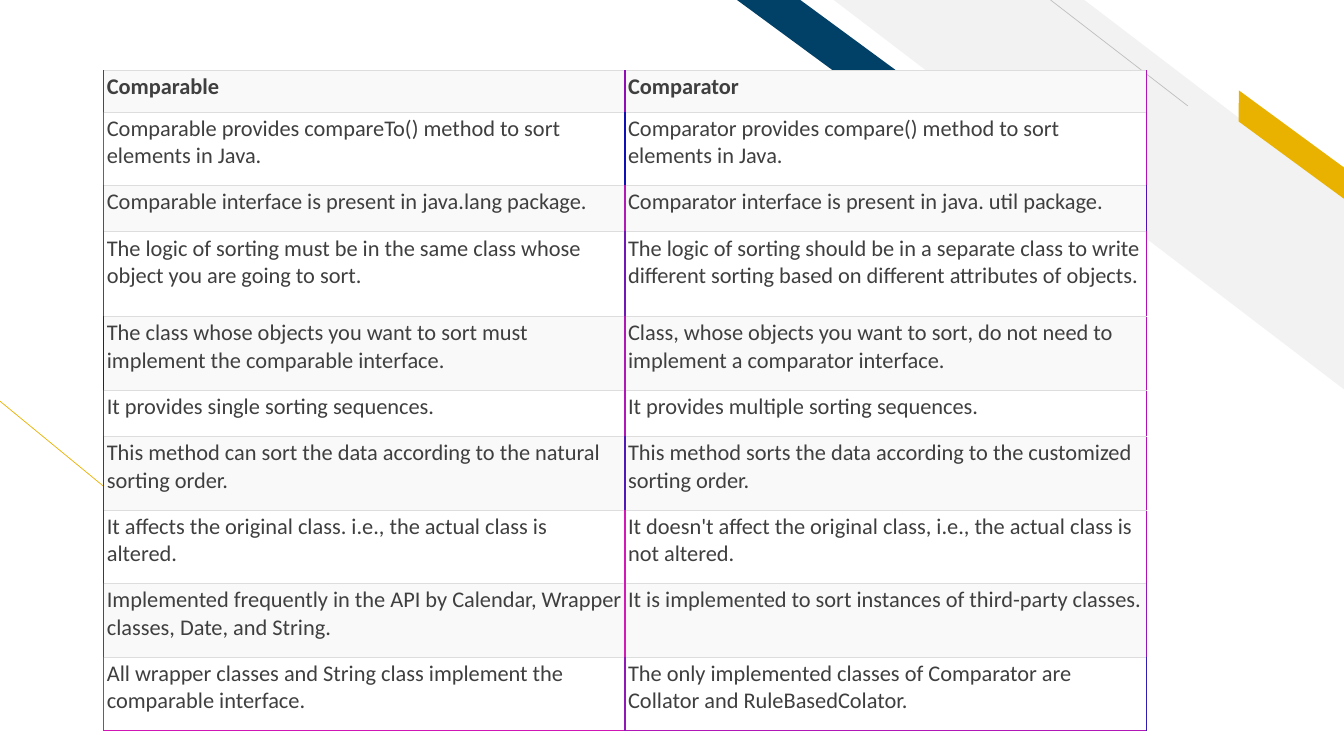
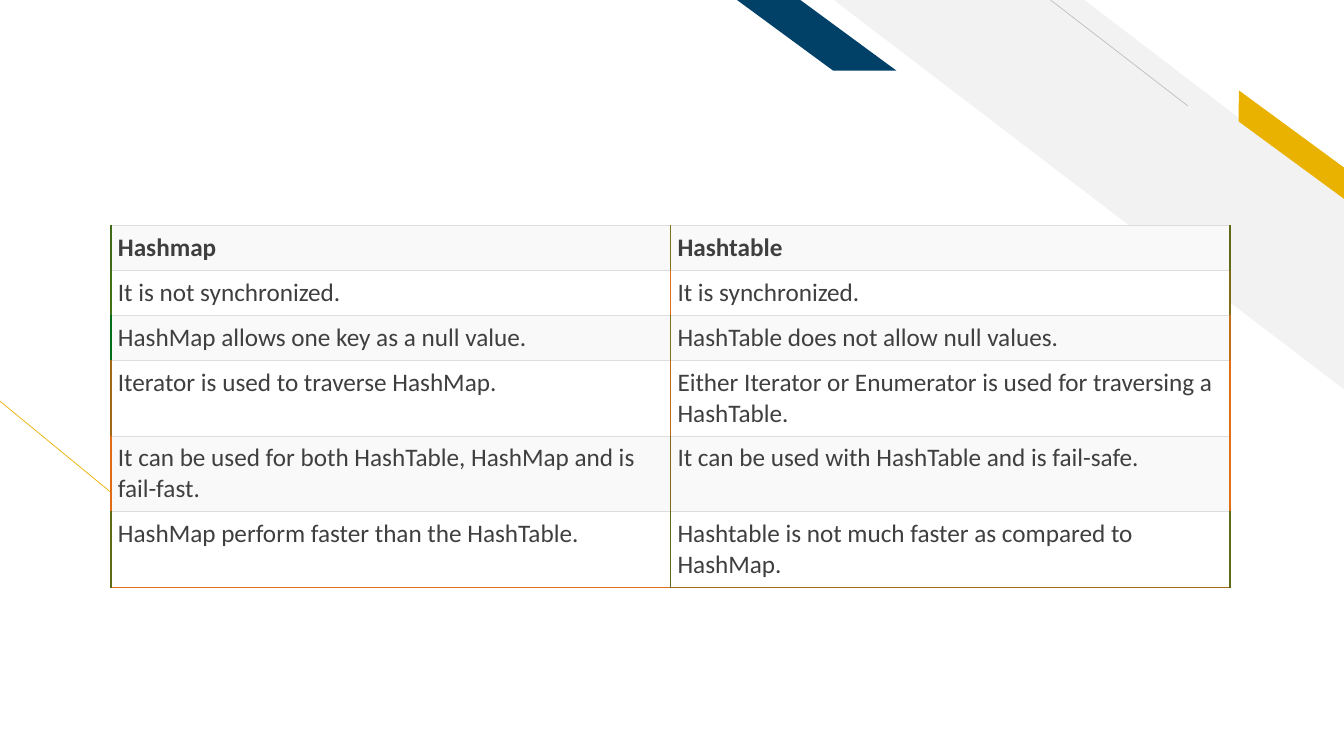
from lxml import etree
from pptx import Presentation
from pptx.dml.color import RGBColor
from pptx.enum import shapes
from pptx.oxml.ns import qn
from pptx.util import Inches, Pt

FONT = "Calibri"
WHITE, STRIPE, NAVY, GOLD = "FFFFFF", "F2F2F2", "014067", "EAB200"
HAIRLINE, INK, BAND, RULE = "BFBFBF", "3F3F3F", "F9F9F9", "DDDDDD"

COMPARABLE_ROWS = [
    ("Comparable", "Comparator"),
    ("Comparable provides compareTo() method to sort elements in Java.",
     "Comparator provides compare() method to sort elements in Java."),
    ("Comparable interface is present in java.lang package.",
     "Comparator interface is present in java. util package."),
    ("The logic of sorting must be in the same class whose object you are going to sort.",
     "The logic of sorting should be in a separate class to write different sorting "
     "based on different attributes of objects."),
    ("The class whose objects you want to sort must implement the comparable interface.",
     "Class, whose objects you want to sort, do not need to implement a comparator interface."),
    ("It provides single sorting sequences.", "It provides multiple sorting sequences."),
    ("This method can sort the data according to the natural sorting order.",
     "This method sorts the data according to the customized sorting order."),
    ("It affects the original class. i.e., the actual class is altered.",
     "It doesn't affect the original class, i.e., the actual class is not altered."),
    ("Implemented frequently in the API by Calendar, Wrapper classes, Date, and String.",
     "It is implemented to sort instances of third-party classes."),
    ("All wrapper classes and String class implement the comparable interface.",
     "The only implemented classes of Comparator are Collator and RuleBasedColator."),
]
COMPARABLE_HEIGHTS = [0.41, 0.73, 0.46, 0.84, 0.73, 0.46, 0.73, 0.73, 0.73, 0.73]
# Vertical border colours of each row: left, middle, right
COMPARABLE_EDGES = [
    ("9011B6", "900DB6", "B014B6"), ("F00EB6", "100FB6", "B00EB6"),
    ("B00FB6", "B019B6", "500FB6"), ("9015B6", "7017B6", "B00FB6"),
    ("1016B6", "B018B6", "B00FB6"), ("701BB6", "B017B6", "B00FB6"),
    ("501BB6", "5018B6", "B00FB6"), ("5018B6", "D019B6", "B00FB6"),
    ("9017B6", "D01BB6", "9017B6"), ("D019B6", "9018B6", "301BB6"),
]

HASH_ROWS = [
    ("Hashmap", "Hashtable"),
    ("It is not synchronized.", "It is synchronized."),
    ("HashMap allows one key as a null value.", "HashTable does not allow null values."),
    ("Iterator is used to traverse HashMap.",
     "Either Iterator or Enumerator is used for traversing a HashTable."),
    ("It can be used for both HashTable, HashMap and is fail-fast.",
     "It can be used with HashTable and is fail-safe."),
    ("HashMap perform faster than the HashTable.",
     "Hashtable is not much faster as compared to HashMap."),
]
HASH_HEIGHTS = [0.44] * 3 + [0.74] * 3
HASH_EDGES = [
    ("406A17", "807017", "606917"), ("407117", "E06B17", "806C17"),
    ("006E17", "807017", "C06F17"), ("A06917", "C06A17", "E06D17"),
    ("E06B17", "806917", "E06F17"), ("606B17", "606A17", "606B17"),
]


def rgb(value):
    return RGBColor.from_string(value)


def add_band(s, kind, box, color, adj, rotation=0):
    """Add a slanted, horizontally flipped band without an outline."""
    sp = s.shapes.add_shape(kind, *map(Inches, box))
    sp.adjustments[0] = adj
    sp.rotation = rotation
    sp.shadow.inherit = False
    sp.fill.solid()
    sp.fill.fore_color.rgb = rgb(color)
    sp.line.fill.background()
    sp._element.spPr.find(qn("a:xfrm")).set("flipH", "1")


def add_line(s, start, end, color):
    line = s.shapes.add_connector(shapes.MSO_CONNECTOR.STRAIGHT,
                                  *map(Inches, start + end))
    line.line.color.rgb = rgb(color)
    line.line.width = Pt(0.5)
    etree.SubElement(line._element.spPr, qn("a:effectLst"))


def add_backdrop(s):
    kind = shapes.MSO_SHAPE
    add_line(s, (2.08, 5.69), (0, 3.98), GOLD)
    add_band(s, kind.DIAGONAL_STRIPE, (8.27, 0, 5.07, 3.87), STRIPE, 0.51)
    add_line(s, (11.78, 1.05), (10.42, 0), HAIRLINE)
    add_band(s, kind.PARALLELOGRAM, (12.07, 1.31, 1.48, 0.25), GOLD, 0.72, 36.3)
    add_band(s, kind.PARALLELOGRAM, (7.31, 0, 1.58, 0.7), NAVY, 1.36)


def set_borders(cell, left, right, top, bottom):
    """Draw four cell borders, each given as (colour, points)."""
    tc_pr = cell._tc.get_or_add_tcPr()
    for i, (side, (color, width)) in enumerate(zip("LRTB", (left, right, top, bottom))):
        ln = etree.Element(qn(f"a:ln{side}"), w=str(Pt(width)))
        fill = etree.SubElement(ln, qn("a:solidFill"))
        etree.SubElement(fill, qn("a:srgbClr"), val=color)
        tc_pr.insert(i, ln)


def fill_cell(cell, label, size, inset, color, bold):
    cell.text = label
    cell.margin_left = cell.margin_right = Inches(inset)
    cell.margin_top = cell.margin_bottom = Inches(inset)
    cell.fill.solid()
    cell.fill.fore_color.rgb = rgb(color)
    font = cell.text_frame.paragraphs[0].font
    font.name, font.size, font.bold = FONT, Pt(size), bold
    font.color.rgb = rgb(INK)


def add_comparison(s, left, top, width, rows, heights, edges, base, size, inset):
    """Add a two-column table; base holds the bottom border colours."""
    table = s.shapes.add_table(len(rows), 2, Inches(left), Inches(top),
                               Inches(width), Inches(sum(heights))).table
    table.first_row = table.horz_banding = False
    for column in table.columns:
        column.width = Inches(width / 2)
    for r, labels in enumerate(rows):
        table.rows[r].height = Inches(heights[r])
        for c, label in enumerate(labels):
            cell = table.cell(r, c)
            fill_cell(cell, label, size, inset, WHITE if r % 2 else BAND, r == 0)
            bottom = (base[c], 1) if r == len(rows) - 1 else (RULE, 0.6)
            set_borders(cell, (edges[r][c], 1), (edges[r][c + 1], 1),
                        (RULE, 0.6), bottom)


def add_slide(prs, *comparison):
    s = prs.slides.add_slide(prs.slide_layouts[6])
    add_backdrop(s)
    add_comparison(s, *comparison)


def main():
    prs = Presentation()
    prs.slide_width, prs.slide_height = Inches(13.33), Inches(7.5)
    add_slide(prs, 1.03, 0.7, 10.34, COMPARABLE_ROWS, COMPARABLE_HEIGHTS,
              COMPARABLE_EDGES, ("D017B6", "B017B6"), 16, 0.03)
    add_slide(prs, 1.1, 2.24, 11.1, HASH_ROWS, HASH_HEIGHTS,
              HASH_EDGES, ("E06F17", "A06917"), 18, 0.07)
    prs.save("out.pptx")


if __name__ == "__main__":
    main()
